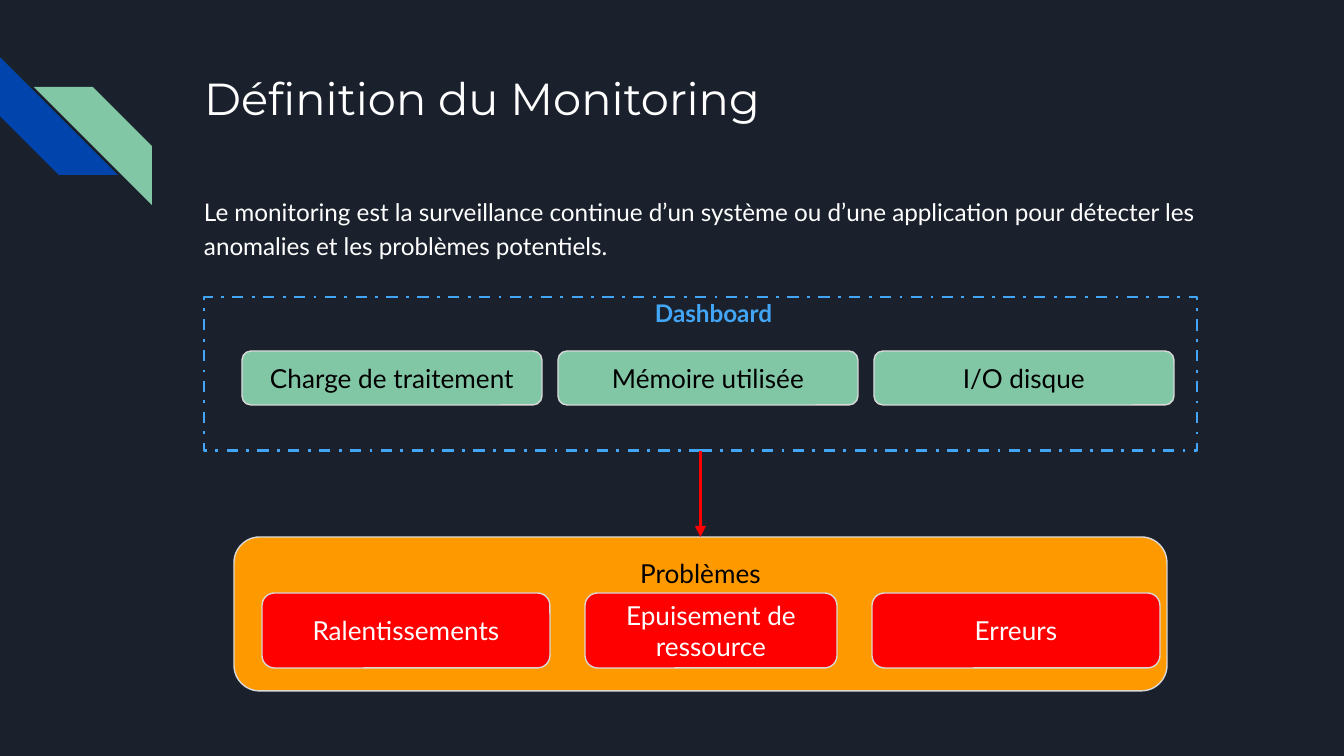
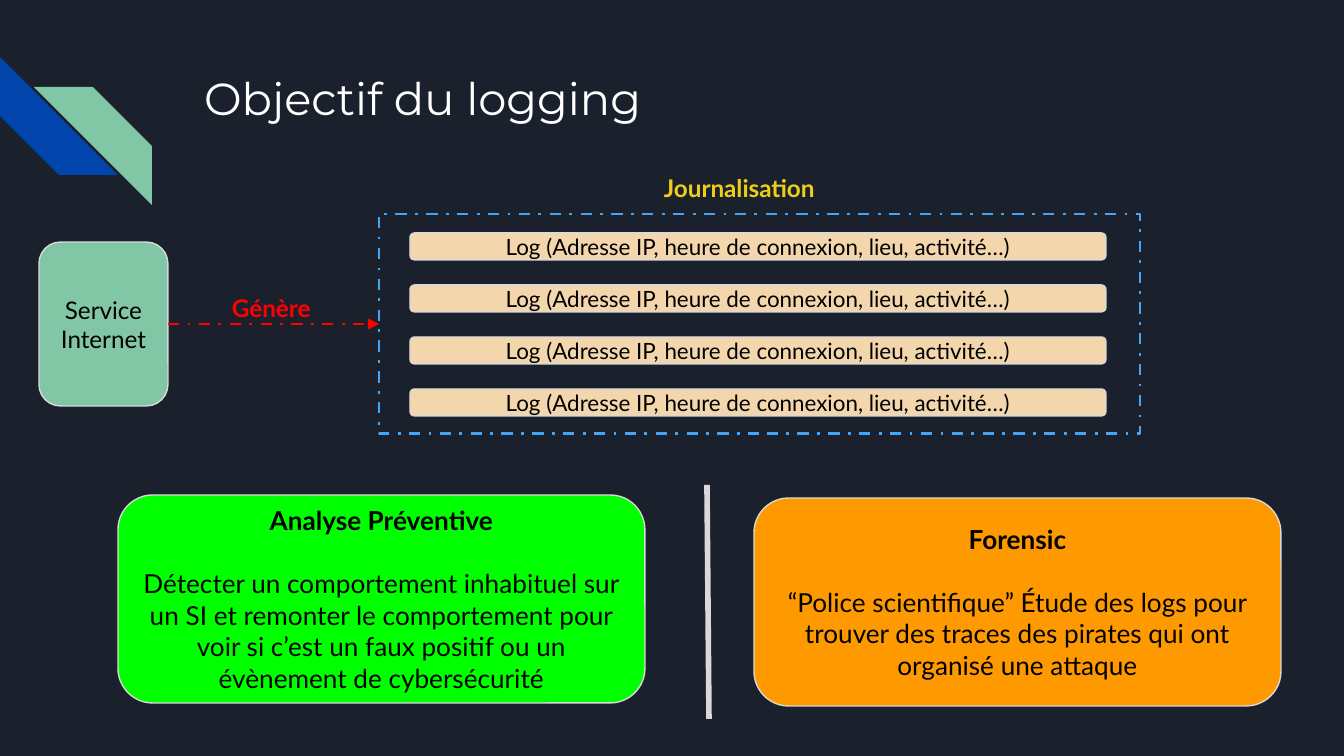
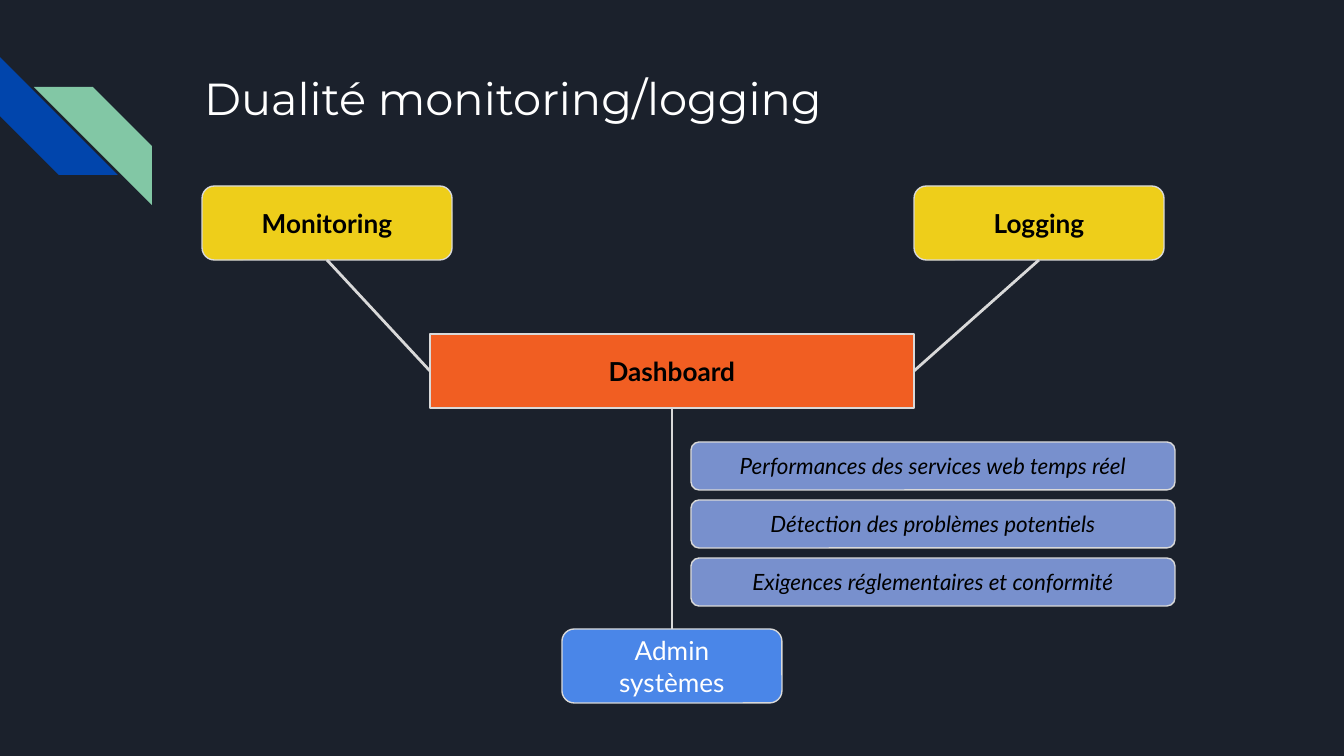
from lxml import etree
from pptx import Presentation
from pptx.dml.color import RGBColor
from pptx.enum.dml import MSO_LINE
from pptx.enum.shapes import MSO_CONNECTOR, MSO_SHAPE
from pptx.enum.text import MSO_ANCHOR, MSO_AUTO_SIZE, PP_ALIGN
from pptx.oxml.ns import qn
from pptx.util import Pt

PX = 914400 / 134.4
SLIDE_W, SLIDE_H = 1344, 756
INSET = 13
TOP, LEFT, BOTTOM, RIGHT = range(4)

NAVY, BLUE, GREEN = "1B212C", "0145AC", "82C7A5"
WHITE, BLACK, GREY = "FFFFFF", "000000", "D9D9D9"
SKY, ORANGE, RED, YELLOW = "42A5F5", "FF9900", "FF0000", "EECE1A"
LIME, SAND, VERMILION = "00FF00", "F4D6AD", "F15E22"
PERIWINKLE, AZURE = "7890CD", "4A86E8"
TITLE_FONT, BODY_FONT = "Montserrat", "Lato"


def px(n):
    return round(n * PX)


def rgb(color):
    return RGBColor.from_string(color)


def set_frame(tf, anchor):
    tf.word_wrap = True
    tf.auto_size = MSO_AUTO_SIZE.NONE
    tf.vertical_anchor = anchor
    tf.margin_left = tf.margin_right = tf.margin_top = tf.margin_bottom = px(INSET)


def add_run(p, text, size, color, font=BODY_FONT, bold=False, italic=False):
    r = p.add_run()
    r.text = text
    r.font.name, r.font.size = font, Pt(size)
    r.font.bold, r.font.italic = bold, italic
    r.font.color.rgb = rgb(color)


def set_line(line, color, width, dash=None):
    line.color.rgb = rgb(color)
    line.width = Pt(width)
    if dash:
        line.dash_style = dash


def add_shape(slide, kind, box, fill=None):
    s = slide.shapes.add_shape(kind, *map(px, box))
    s.shadow.inherit = False
    if fill:
        s.fill.solid()
        s.fill.fore_color.rgb = rgb(fill)
    else:
        s.fill.background()
    return s


def add_block(slide, box, fill, text, size=14, color=BLACK, bold=False, italic=False,
              kind=MSO_SHAPE.ROUNDED_RECTANGLE, anchor=MSO_ANCHOR.MIDDLE):
    """Filled box with a thin grey outline and centred text."""
    s = add_shape(slide, kind, box, fill)
    set_line(s.line, GREY, 0.75)
    set_frame(s.text_frame, anchor)
    p = s.text_frame.paragraphs[0]
    p.alignment = PP_ALIGN.CENTER
    add_run(p, text, size, color, bold=bold, italic=italic)
    return s


def add_dashed_frame(slide, box):
    s = add_shape(slide, MSO_SHAPE.RECTANGLE, box)
    set_line(s.line, SKY, 1.5, MSO_LINE.DASH_DOT)
    return s


def add_label(slide, box, text, color, bold=True, spacing=None):
    tf = slide.shapes.add_textbox(*map(px, box)).text_frame
    set_frame(tf, MSO_ANCHOR.TOP)
    p = tf.paragraphs[0]
    if spacing:
        p.line_spacing = spacing
    add_run(p, text, 13, color, bold=bold)


def add_line(slide, color, width, points=(0, 0, 0, 0), dash=None, arrow=False):
    c = slide.shapes.add_connector(MSO_CONNECTOR.STRAIGHT, *map(px, points))
    set_line(c.line, color, width, dash)
    if arrow:
        etree.SubElement(c.line._get_or_add_ln(), qn("a:tailEnd"), type="triangle")
    etree.SubElement(c.element.spPr, qn("a:effectLst"))
    return c


def join(slide, start, start_side, end, end_side, color=GREY, **style):
    c = add_line(slide, color, 1.5, **style)
    c.begin_connect(start, start_side)
    c.end_connect(end, end_side)


def add_stripes(slide, x, y):
    """Pair of diagonal stripes at the left edge."""
    size = 118
    lower = add_shape(slide, MSO_SHAPE.DIAGONAL_STRIPE, (x, y, size, size), BLUE)
    lower.rotation = 270
    upper = add_shape(slide, MSO_SHAPE.DIAGONAL_STRIPE, (x + 34, y + 30, size, size), GREEN)
    upper.element.spPr.xfrm.set("flipH", "1")
    for s in (lower, upper):
        s.line.fill.background()


def add_titled_slide(prs, title, title_h=134):
    slide = prs.slides.add_slide(prs.slide_layouts[5])
    add_stripes(slide, 0, 57)
    s = slide.shapes.title
    s.left, s.top, s.width, s.height = map(px, (191, 58, 1035, title_h))
    set_frame(s.text_frame, MSO_ANCHOR.TOP)
    p = s.text_frame.paragraphs[0]
    p.alignment = PP_ALIGN.LEFT
    add_run(p, title, 24, WHITE, TITLE_FONT)
    return slide


def add_metrics(slide, box):
    x, y, w, h = box
    frame = add_dashed_frame(slide, box)
    for i, text in enumerate(("Charge de traitement", "Mémoire utilisée", "I/O disque")):
        add_block(slide, (x + 38 + 316 * i, y + 54, 300, 54), GREEN, text)
    add_label(slide, (x + 438, y - 12, 153, 42), "Dashboard", SKY)
    return frame


def add_problems(slide, box):
    x, y, w, h = box
    panel = add_block(slide, box, ORANGE, "Problèmes", anchor=MSO_ANCHOR.TOP)
    left = x + 28
    for text, width in (("Ralentissements", 288), ("Epuisement de ressource", 252), ("Erreurs", 288)):
        add_block(slide, (left, y + 56, width, 75), RED, text, color=WHITE)
        left += width + 35
    return panel


def add_logs(slide, box):
    x, y, w, h = box
    add_label(slide, (x + 272, y - 54, 216, 27), "Journalisation", YELLOW)
    for i in range(4):
        add_block(slide, (x + 31, y + 19 + 52 * i, 696, 27), SAND,
                  "Log (Adresse IP, heure de connexion, lieu, activité…)", 12)
    return add_dashed_frame(slide, box)


def add_purpose(slide, box, fill, heading, text):
    s = add_block(slide, box, fill, heading, bold=True)
    p = s.text_frame.add_paragraph()
    p.alignment = PP_ALIGN.CENTER
    p.space_before = Pt(17)
    add_run(p, text, 14, BLACK)


def add_goals(slide, box):
    x, y, w, h = box
    goals = ("Performances des services web temps réel",
             "Détection des problèmes potentiels",
             "Exigences réglementaires et conformité")
    step = (h - 48) // (len(goals) - 1)
    for i, text in enumerate(goals):
        add_block(slide, (x, y + step * i, w, 48), PERIWINKLE, text, 12, italic=True)


def build_monitoring(prs):
    slide = add_titled_slide(prs, "Définition du Monitoring")
    add_label(slide, (191, 180, 1035, 94),
              "Le monitoring est la surveillance continue d’un système ou d’une application "
              "pour détecter les anomalies et les problèmes potentiels.",
              WHITE, bold=False, spacing=1.15)
    metrics = add_metrics(slide, (204, 297, 993, 154))
    problems = add_problems(slide, (234, 537, 933, 154))
    join(slide, metrics, BOTTOM, problems, TOP, RED, arrow=True)


def build_logging(prs):
    slide = add_titled_slide(prs, "Objectif du logging", 103)
    service = add_block(slide, (39, 242, 129, 164), GREEN, "Service Internet", 13)
    logs = add_logs(slide, (379, 214, 761, 220))
    join(slide, service, RIGHT, logs, LEFT, RED, dash=MSO_LINE.DASH_DOT, arrow=True)
    add_label(slide, (219, 280, 160, 27), "Génère", RED)
    add_purpose(slide, (118, 495, 527, 208), LIME, "Analyse Préventive",
                "Détecter un comportement inhabituel sur un SI et remonter le comportement "
                "pour voir si c’est un faux positif ou un évènement de cybersécurité")
    add_line(slide, GREY, 3, (707, 485, 709, 719))
    add_purpose(slide, (754, 498, 527, 208), ORANGE, "Forensic",
                "“Police scientifique” Étude des logs pour trouver des traces des pirates "
                "qui ont organisé une attaque")


def build_duality(prs):
    slide = add_titled_slide(prs, "Dualité monitoring/logging")
    monitoring, logging = (add_block(slide, (x, 186, 250, 74), YELLOW, text, bold=True)
                           for x, text in ((202, "Monitoring"), (914, "Logging")))
    dashboard = add_block(slide, (430, 334, 484, 74), VERMILION, "Dashboard", bold=True,
                          kind=MSO_SHAPE.RECTANGLE)
    admin = add_block(slide, (562, 629, 220, 74), AZURE, "Admin systèmes", color=WHITE)
    add_goals(slide, (691, 442, 484, 164))
    join(slide, dashboard, BOTTOM, admin, TOP)
    join(slide, monitoring, BOTTOM, dashboard, LEFT)
    join(slide, logging, BOTTOM, dashboard, RIGHT)


def main():
    prs = Presentation()
    prs.slide_width, prs.slide_height = px(SLIDE_W), px(SLIDE_H)
    fill = prs.slide_master.background.fill
    fill.solid()
    fill.fore_color.rgb = rgb(NAVY)
    build_monitoring(prs)
    build_logging(prs)
    build_duality(prs)
    prs.save("out.pptx")


if __name__ == "__main__":
    main()
